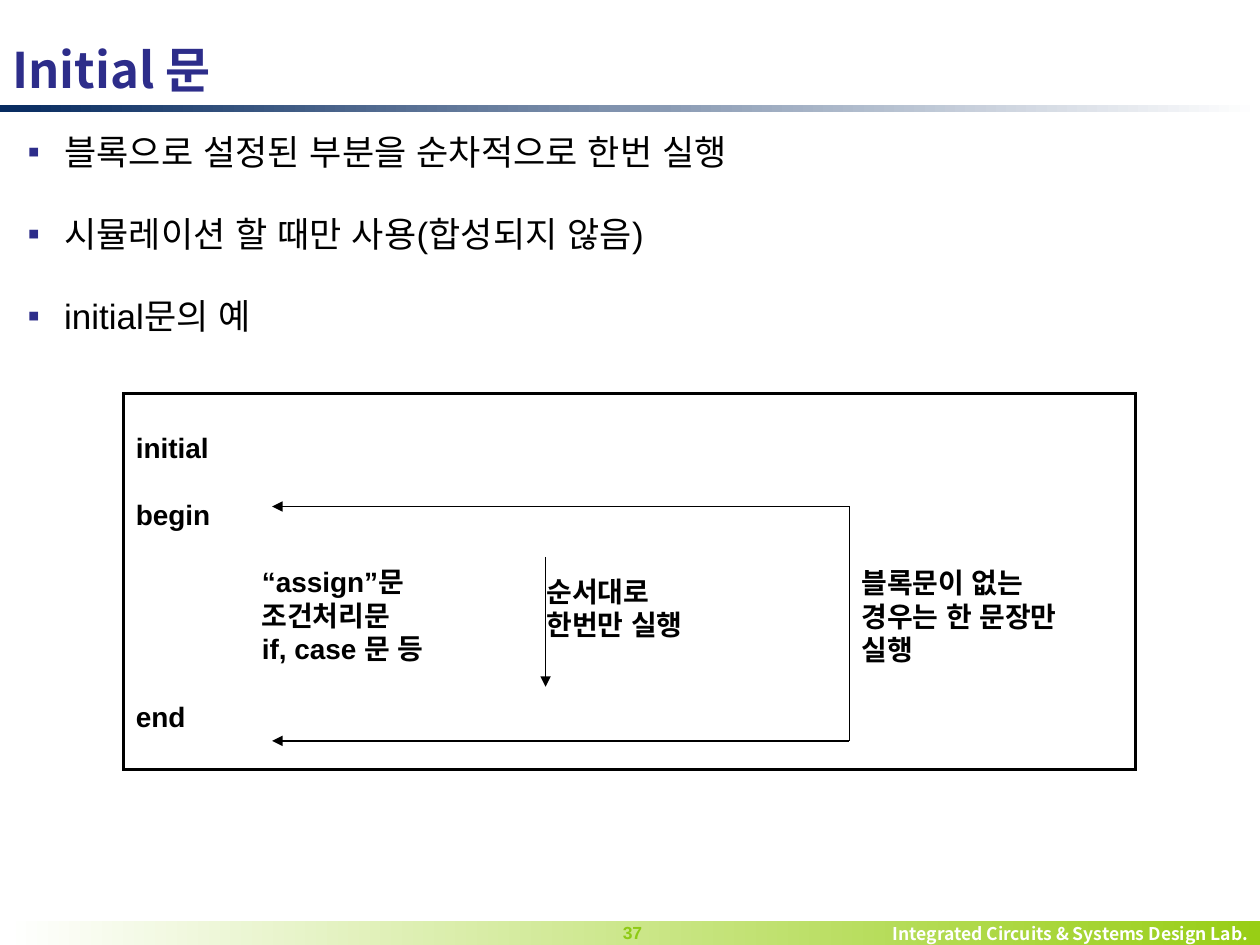
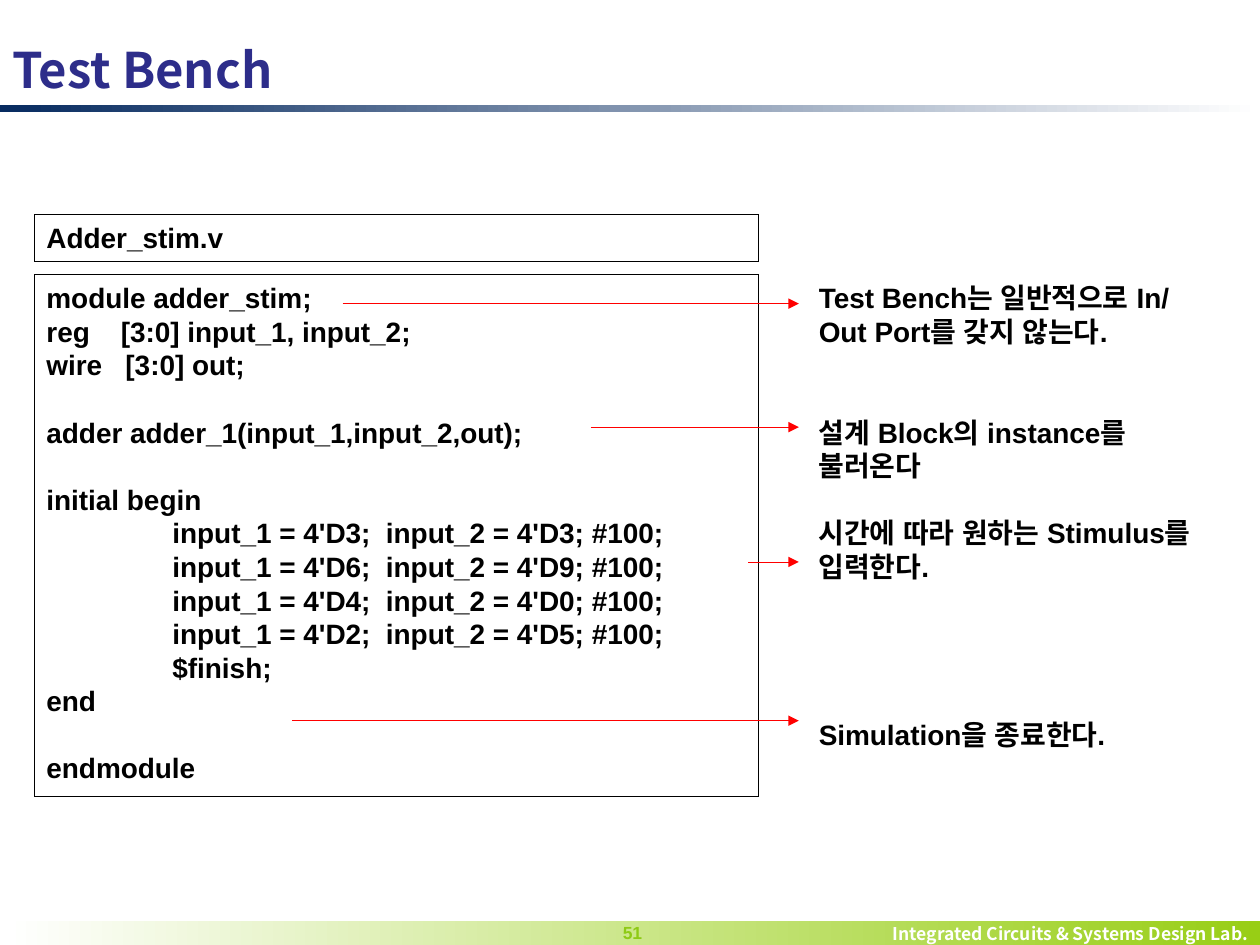
from lxml import etree
from pptx import Presentation
from pptx.dml.color import RGBColor
from pptx.enum.shapes import MSO_CONNECTOR, MSO_SHAPE
from pptx.enum.text import MSO_ANCHOR, PP_ALIGN
from pptx.oxml.ns import qn
from pptx.util import Inches, Pt

RECT, LINE = MSO_SHAPE.RECTANGLE, MSO_CONNECTOR.STRAIGHT
TOP, MIDDLE = MSO_ANCHOR.TOP, MSO_ANCHOR.MIDDLE
LEFT, CENTER, RIGHT = PP_ALIGN.LEFT, PP_ALIGN.CENTER, PP_ALIGN.RIGHT

HUES = {
    "ink": "000000", "paper": "FFFFFF", "title": "2D2D8A", "navy": "072B60",
    "lime": "98CE15", "number": "8ECA15", "arrow": "FF0000",
}
SANS, KOREAN = "Arial", "Noto Sans CJK KR"
STYLES = {
    "title": {"name": KOREAN, "size": Pt(28), "bold": True, "hue": "title"},
    "footer": {"name": KOREAN, "size": Pt(10), "bold": True, "hue": "paper"},
    "number": {"name": SANS, "size": Pt(10), "bold": True, "hue": "number"},
    "body": {"name": SANS, "size": Pt(20), "bold": False, "hue": "ink"},
    "code": {"name": SANS, "size": Pt(16), "bold": True, "hue": "ink"},
}
PITCH = {"code": 19.2, "body": 27.2}  # line heights in points
FOOTER = "Integrated Circuits & Systems Design Lab."


def color(key):
    return RGBColor.from_string(HUES[key])


def add_tag(parent, tag, **attrs):
    return etree.SubElement(parent, qn(tag), attrs)


def write(shape, lines, style, align=LEFT, anchor=TOP):
    """Fill a shape with (points before, text) lines."""
    frame = shape.text_frame
    frame.word_wrap = True
    frame.vertical_anchor = anchor
    for index, (gap, text) in enumerate(lines):
        para = frame.paragraphs[0] if index == 0 else frame.add_paragraph()
        para.alignment = align
        para.space_before = Pt(gap)
        if style in PITCH:
            para.line_spacing = Pt(PITCH[style])
        if "\t" in text:
            tabs = add_tag(para._p.get_or_add_pPr(), "a:tabLst")
            add_tag(tabs, "a:tab", pos=str(Inches(1)), algn="l")
        run = para.add_run()
        run.text = text
        for key, value in STYLES[style].items():
            if key == "hue":
                run.font.color.rgb = color(value)
            else:
                setattr(run.font, key, value)
        add_tag(run.font._element, "a:ea", typeface=STYLES[style]["name"])
    return frame


def add_text(slide, area, lines, style, **place):
    box = slide.shapes.add_textbox(*map(Inches, area))
    return write(box, lines, style, **place)


def add_rect(slide, area):
    rect = slide.shapes.add_shape(RECT, *map(Inches, area))
    rect.shadow.inherit = False
    return rect


def add_band(slide, area, start, end):
    band = add_rect(slide, area)
    band.line.fill.background()
    band.fill.gradient()
    band.fill.gradient_angle = 0
    for stop, key in zip(band.fill.gradient_stops, (start, end)):
        stop.color.rgb = color(key)
    return band


def add_frame(slide, area, lines, weight, anchor=TOP):
    frame = add_rect(slide, area)
    frame.fill.background()
    frame.line.color.rgb = color("ink")
    frame.line.width = Pt(weight)
    add_tag(frame.line._get_or_add_ln(), "a:miter", lim="800000")
    write(frame, lines, "code", anchor=anchor)


def add_line(slide, start, end, hue, weight, arrow=True):
    line = slide.shapes.add_connector(LINE, *map(Inches, start + end))
    line.line.color.rgb = color(hue)
    line.line.width = Pt(weight)
    if arrow:
        add_tag(line.line._get_or_add_ln(), "a:tailEnd", type="triangle")
    add_tag(line._element.spPr, "a:effectLst")


def spaced(*items):
    """Turn (blank rows before, text) into (points before, text)."""
    return [(rows * PITCH["code"], text) for rows, text in items]


def add_bullets(slide, area, texts):
    lines = [(19.7 if index else 1, text) for index, text in enumerate(texts)]
    frame = add_text(slide, area, lines, "body")
    for para in frame.paragraphs:
        props = para._p.get_or_add_pPr()
        indent = Inches(0.29)
        props.set("marL", str(indent))
        props.set("indent", str(-indent))
        hue = add_tag(props, "a:buClr")
        add_tag(hue, "a:srgbClr", val=HUES["title"])
        add_tag(props, "a:buFont", typeface=SANS)
        add_tag(props, "a:buChar", char="▪")


def add_page(deck, title, number):
    """Start a slide with the shared bands, footer and title."""
    slide = deck.slides.add_slide(deck.slide_layouts[6])
    add_band(slide, (0, 0.83, 10, 0.06), "navy", "paper")
    band = add_band(slide, (0.04, 7.31, 9.96, 0.19), "paper", "lime")
    write(band, [(0, FOOTER)], "footer", align=RIGHT, anchor=MIDDLE)
    add_text(slide, (4.63, 7.27, 0.78, 0.27), [(0, number)], "number",
             align=CENTER)
    add_text(slide, (0, 0.23, 10, 0.63), [(0, title)], "title", anchor=MIDDLE)
    return slide


def initial_page(deck):
    slide = add_page(deck, "Initial 문", "37")
    add_bullets(slide, (0.12, 0.94, 9.75, 6.23), [
        "블록으로 설정된 부분을 순차적으로 한번 실행",
        "시뮬레이션 할 때만 사용(합성되지 않음)",
        "initial문의 예",
    ])
    # Bracket from begin to end, and the order arrow
    left, right, begin, end = 2.16, 6.74, 4.02, 5.88
    add_line(slide, (right, begin), (right, end), "ink", 0.75, arrow=False)
    for y in (begin, end):
        add_line(slide, (right, y), (left, y), "ink", 0.75)
    add_line(slide, (4.33, 4.42), (4.33, 5.45), "ink", 0.75)
    # Notes
    add_text(slide, (4.24, 4.51, 1.58, 0.64),
             [(0, "순서대로 한번만 실행")], "code")
    add_text(slide, (right, 4.44, 1.83, 0.91),
             [(0, "블록문이 없는 경우는 한 문장만 실행")], "code")
    # Code frame
    code = spaced((0, "initial"), (1, "begin"), (1, "\t“assign”문"),
                  (0, "\t조건처리문"), (0, "\tif, case 문 등"), (1, "end"))
    add_frame(slide, (0.98, 3.12, 8.03, 2.99), code, 1.75, anchor=MIDDLE)


def bench_page(deck):
    slide = add_page(deck, "Test Bench", "51")
    # Code frames
    inputs = [(0, f"\tinput_1 = 4'D{a};  input_2 = 4'D{b}; #100;")
              for a, b in ((3, 3), (6, 9), (4, 0), (2, 5))]
    code = spaced(
        (0, "module adder_stim;"),
        (0, "reg    [3:0] input_1, input_2;"),
        (0, "wire   [3:0] out;"),
        (1, "adder adder_1(input_1,input_2,out);"),
        (1, "initial begin"),
        *inputs,
        (0, "\t$finish;"),
        (0, "end"),
        (1, "endmodule"),
    )
    add_frame(slide, (0.27, 2.18, 5.75, 4.14), code, 0.25)
    add_frame(slide, (0.27, 1.7, 5.75, 0.37), [(0, "Adder_stim.v")], 0.25)
    # Notes and the arrows to them
    notes = spaced(
        (0, "Test Bench는 일반적으로 In/"),
        (0, "Out Port를 갖지 않는다."),
        (2, "설계 Block의 instance를 불러온다"),
        (1, "시간에 따라 원하는 Stimulus를 입력한다."),
        (4, "Simulation을 종료한다."),
    )
    add_text(slide, (6.4, 2.18, 3.41, 3.87), notes, "code")
    for x, y in ((2.72, 2.41), (4.69, 3.39), (5.94, 4.46), (2.32, 5.72)):
        add_line(slide, (x, y), (6.34, y), "arrow", 0.25)


def main():
    deck = Presentation()
    deck.slide_width, deck.slide_height = Inches(10), Inches(7.5)
    initial_page(deck)
    bench_page(deck)
    deck.save("out.pptx")


if __name__ == "__main__":
    main()
